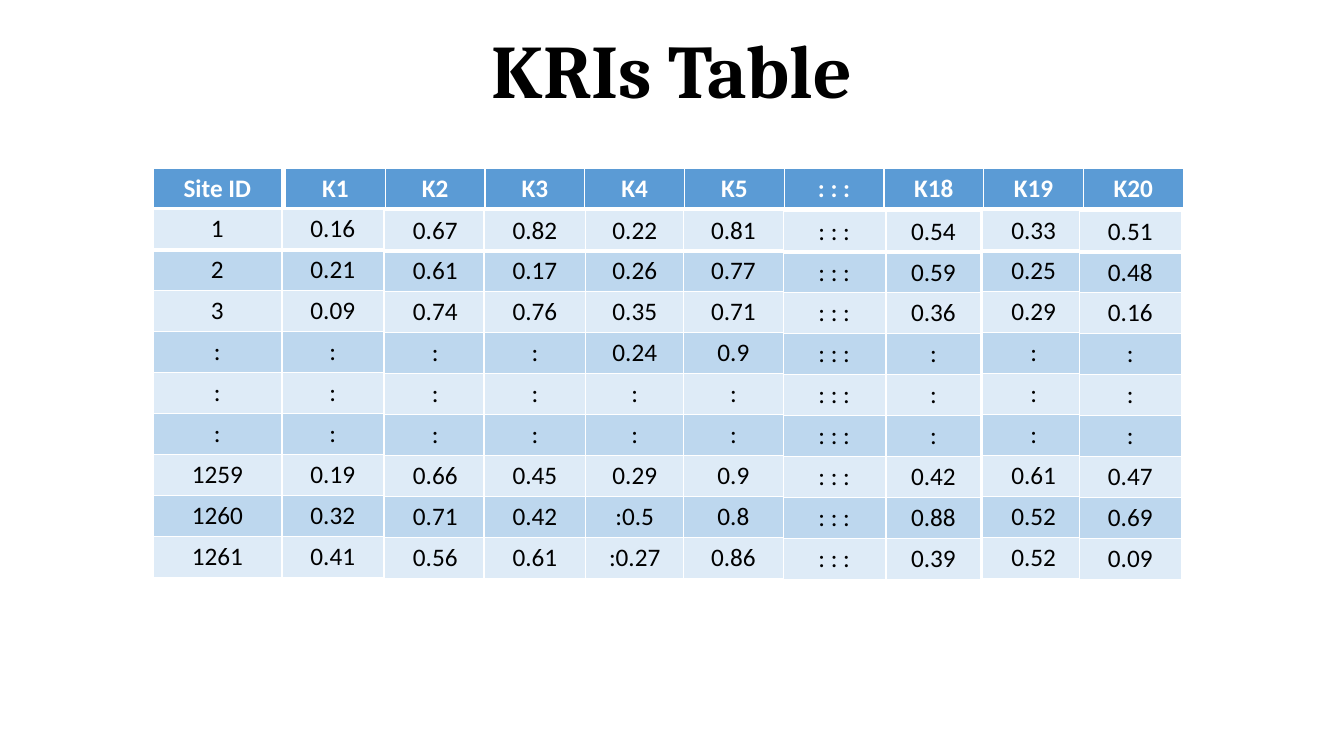
from dataclasses import dataclass

from lxml.etree import SubElement
from pptx import Presentation
from pptx.dml.color import RGBColor
from pptx.enum.text import MSO_ANCHOR, PP_ALIGN
from pptx.oxml.ns import qn
from pptx.slide import Slide
from pptx.table import _Cell
from pptx.text.text import _Paragraph
from pptx.util import Emu, Pt

SCALE = 9525  # EMU in one px
ROW = 39  # row height in px
EDGES = ("L", "R", "T", "B")


@dataclass(frozen=True)
class Theme:
    head: str = "5B9BD5"
    bands: tuple[str, str] = ("DEEBF7", "BDD7EE")
    white: str = "FFFFFF"
    black: str = "000000"
    serif: str = "Cambria"
    sans: str = "Calibri"
    big: int = 54
    small: int = 18
    thin: int = 1
    thick: int = 3


@dataclass(frozen=True)
class Block:
    left: int
    top: int
    width: int  # of one column
    rows: list[tuple[str, ...]]
    head: bool = False


THEME = Theme()


def px(count: int) -> Emu:
    return Emu(count * SCALE)


def stack(left: int, top: int, width: int, *items: str) -> Block:
    return Block(left, top, width, [(item,) for item in items])


DOTS = (":",) * 3

# Header blocks
HEADS = [
    Block(146, 160, 122, [("Site ID",)], True),
    Block(272, 160, 95, [("K1", "K2", "K3", "K4", "K5", ": : :",
                          "K18", "K19", "K20")], True),
]

# One block for each column of values
STACKS = [
    stack(146, 199, 122, "1", "2", "3", *DOTS, "1259", "1260", "1261"),
    stack(269, 199, 96, "0.16", "0.21", "0.09", *DOTS, "0.19", "0.32", "0.41"),
    stack(366, 200, 97, "0.67", "0.61", "0.74", *DOTS, "0.66", "0.71", "0.56"),
    stack(461, 200, 97, "0.82", "0.17", "0.76", *DOTS, "0.45", "0.42", "0.61"),
    stack(558, 200, 93, "0.22", "0.26", "0.35", "0.24", ":", ":",
          "0.29", ":0.5", ":0.27"),
    stack(651, 200, 95, "0.81", "0.77", "0.71", "0.9", ":", ":",
          "0.9", "0.8", "0.86"),
    stack(746, 201, 97, *[": : :"] * 9),
    stack(844, 201, 90, "0.54", "0.59", "0.36", *DOTS, "0.42", "0.88", "0.39"),
    stack(936, 200, 97, "0.33", "0.25", "0.29", *DOTS, "0.61", "0.52", "0.52"),
    stack(1028, 201, 97, "0.51", "0.48", "0.16", *DOTS, "0.47", "0.69", "0.09"),
]


def write(para: _Paragraph, text: str, font: str, size: int,
          color: str, bold: bool) -> None:
    para.alignment = PP_ALIGN.CENTER
    run = para.add_run()
    run.text = text
    run.font.name = font
    run.font.size = Pt(size)
    run.font.bold = bold
    run.font.color.rgb = RGBColor.from_string(color)


def border(cell: _Cell, first: bool) -> None:
    props = cell._tc.get_or_add_tcPr()
    for edge in EDGES:
        width = THEME.thick if first and edge == "B" else THEME.thin
        line = SubElement(props, qn(f"a:ln{edge}"), w=str(Pt(width)))
        fill = SubElement(line, qn("a:solidFill"))
        SubElement(fill, qn("a:srgbClr"), val=THEME.white)


def draw(slide: Slide, block: Block) -> None:
    high, wide = len(block.rows), len(block.rows[0])
    table = slide.shapes.add_table(
        high, wide, px(block.left), px(block.top),
        px(block.width * wide), px(ROW * high)).table
    table.first_row = block.head
    table.horz_banding = False
    for col in table.columns:
        col.width = px(block.width)
    for r, items in enumerate(block.rows):
        table.rows[r].height = px(ROW)
        shade = THEME.head if block.head else THEME.bands[r % 2]
        ink = THEME.white if block.head else THEME.black
        for c, text in enumerate(items):
            cell = table.cell(r, c)
            border(cell, r == 0)
            cell.fill.solid()
            cell.fill.fore_color.rgb = RGBColor.from_string(shade)
            write(cell.text_frame.paragraphs[0], text, THEME.sans,
                  THEME.small, ink, block.head)


def title(slide: Slide, text: str) -> None:
    frame = slide.shapes.add_textbox(px(88), px(1), px(1104), px(139)).text_frame
    frame.word_wrap = True
    frame.vertical_anchor = MSO_ANCHOR.MIDDLE
    para = frame.paragraphs[0]
    para.line_spacing = 0.9
    write(para, text, THEME.serif, THEME.big, THEME.black, True)


def main() -> None:
    deck = Presentation()
    deck.slide_width, deck.slide_height = px(1280), px(720)
    slide = deck.slides.add_slide(deck.slide_layouts[6])
    title(slide, "KRIs Table")
    for block in HEADS + STACKS:
        draw(slide, block)
    deck.save("out.pptx")


if __name__ == "__main__":
    main()
